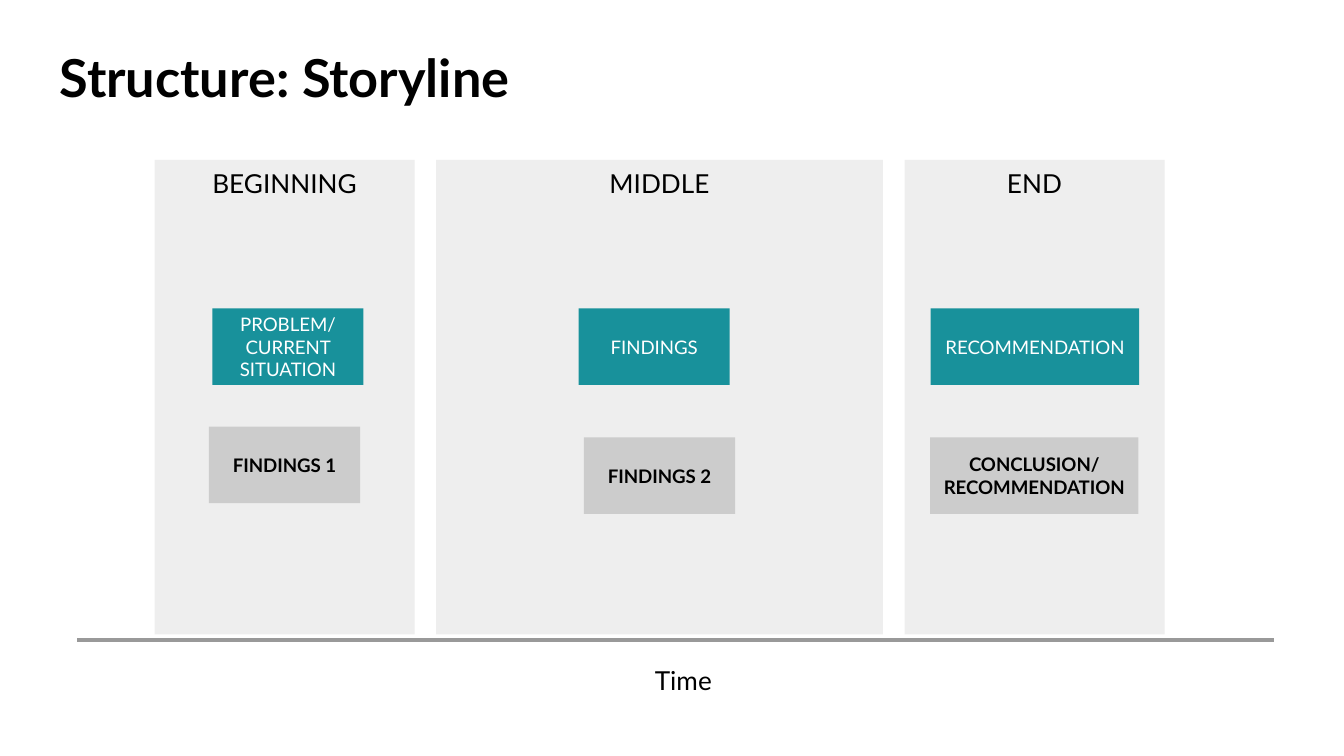
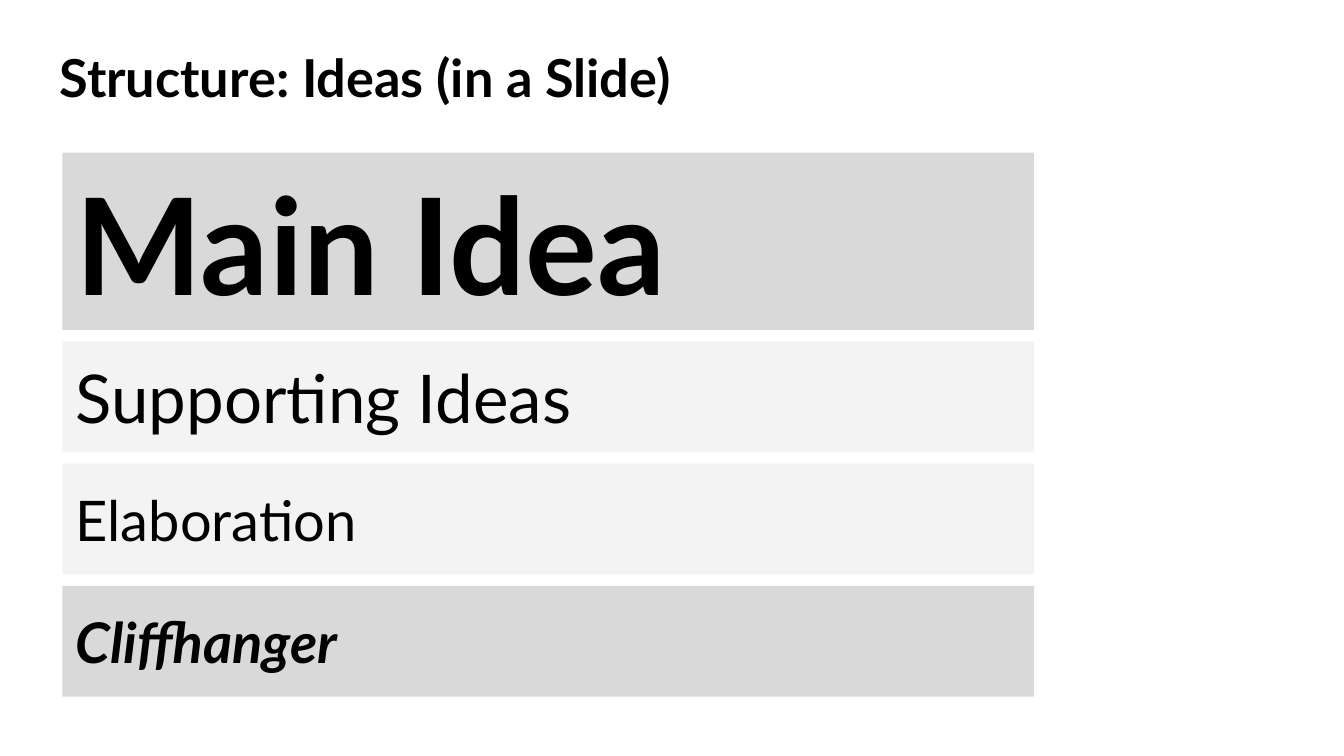
from dataclasses import dataclass
from pptx import Presentation
from pptx.dml.color import RGBColor as RGB
from pptx.enum.shapes import MSO_CONNECTOR as CONN, MSO_SHAPE as SHAPE
from pptx.enum.text import MSO_ANCHOR as ANCHOR, PP_ALIGN as ALIGN
from pptx.oxml.ns import qn
from pptx.util import Emu, Pt
from lxml.etree import SubElement


# 200 px to the inch
PX = 4572


@dataclass(frozen=True)
class Theme:
    font: str = "Lato"
    ink: str = "000000"
    white: str = "FFFFFF"
    teal: str = "18919B"
    axis: str = "999999"
    card: str = "CCCCCC"
    column: str = "EEEEEE"
    strong: str = "D9D9D9"
    soft: str = "F3F3F3"
    title: int = 28
    label: int = 14
    small: int = 10
    hero: int = 72
    support: int = 36
    detail: int = 30
    inset: int = 20


T = Theme()


def px(*values):
    return [Emu(v * PX) for v in values]


# Text
def write(sp, text, size, color=T.ink, align=ALIGN.LEFT, anchor=ANCHOR.TOP, **style):
    tf = sp.text_frame
    inset = Emu(T.inset * PX)
    frame = dict(word_wrap=True, vertical_anchor=anchor)
    for side in ("left", "top", "right", "bottom"):
        frame[f"margin_{side}"] = inset
    for name, value in frame.items():
        setattr(tf, name, value)
    font = dict(name=T.font, size=Pt(size), **style)
    for i, line in enumerate(text.split("\n")):
        p = tf.add_paragraph() if i else tf.paragraphs[0]
        p.alignment = align
        r = p.add_run()
        r.text = line
        for name, value in font.items():
            setattr(r.font, name, value)
        r.font.color.rgb = RGB.from_string(color)


def add_text(s, box, text, size, **style):
    sp = s.shapes.add_textbox(*px(*box))
    write(sp, text, size, **style)


# Shapes
def add_box(s, box, fill, text=None, size=T.small, **style):
    sp = s.shapes.add_shape(SHAPE.RECTANGLE, *px(*box))
    sp.shadow.inherit = False
    sp.fill.solid()
    sp.fill.fore_color.rgb = RGB.from_string(fill)
    sp.line.fill.background()
    if text:
        write(sp, text, size, anchor=ANCHOR.MIDDLE, **style)


def add_axis(s, left, right, y):
    line = s.shapes.add_connector(CONN.STRAIGHT, *px(left, y, right, y))
    line.line.color.rgb = RGB.from_string(T.axis)
    line.line.width = Pt(2.25)
    SubElement(line._element.spPr, qn("a:effectLst"))


def add_slide(prs, title):
    s = prs.slides.add_slide(prs.slide_layouts[6])
    add_text(s, (69, 48, 1864, 126), title, T.title, bold=True)
    return s


# Slide 1: story phases along a time axis
def storyline(prs):
    s = add_slide(prs, "Structure: Storyline")
    add_axis(s, 115, 1896, 952)

    # Phase columns
    columns = []
    left, gap = 230, 32
    for name, width in (("BEGINNING", 387), ("MIDDLE", 665), ("END", 387)):
        columns.append((name, left, width))
        left += width + gap
    for _, left, width in columns:
        add_box(s, (left, 238, width, 706), T.column)
    for name, left, width in columns:
        add_text(s, (left, 229, width, 188), name, T.label, align=ALIGN.CENTER)
    add_text(s, (127, 968, 1780, 188), "Time", T.label, align=ALIGN.CENTER)

    # Story cards: left, top, width, text
    topics = (
        (316, 459, 225, "PROBLEM/\nCURRENT SITUATION"),
        (861, 459, 225, "FINDINGS"),
        (1385, 459, 310, "RECOMMENDATION"),
    )
    examples = (
        (311, 635, 225, "FINDINGS 1"),
        (869, 651, 225, "FINDINGS 2"),
        (1384, 651, 310, "CONCLUSION/RECOMMENDATION"),
    )
    groups = (
        (topics, T.teal, dict(color=T.white)),
        (examples, T.card, dict(bold=True)),
    )
    for cards, fill, style in groups:
        for x, y, width, text in cards:
            add_box(s, (x, y, width, 114), fill, text, align=ALIGN.CENTER, **style)


# Slide 2: ideas stacked by importance
def ideas(prs):
    s = add_slide(prs, "Structure: Ideas (in a Slide)")
    bars = (
        ("Main Idea", 264, T.strong, T.hero, dict(bold=True)),
        ("Supporting Ideas", 165, T.soft, T.support, {}),
        ("Elaboration", 165, T.soft, T.detail, {}),
        ("Cliffhanger", 165, T.strong, T.detail, dict(bold=True, italic=True)),
    )
    top, gap = 227, 17
    for text, height, fill, size, style in bars:
        add_box(s, (93, top, 1446, height), fill, text, size, **style)
        top += height + gap


def main():
    prs = Presentation()
    prs.slide_width, prs.slide_height = px(2000, 1125)
    storyline(prs)
    ideas(prs)
    prs.save("out.pptx")


if __name__ == "__main__":
    main()
